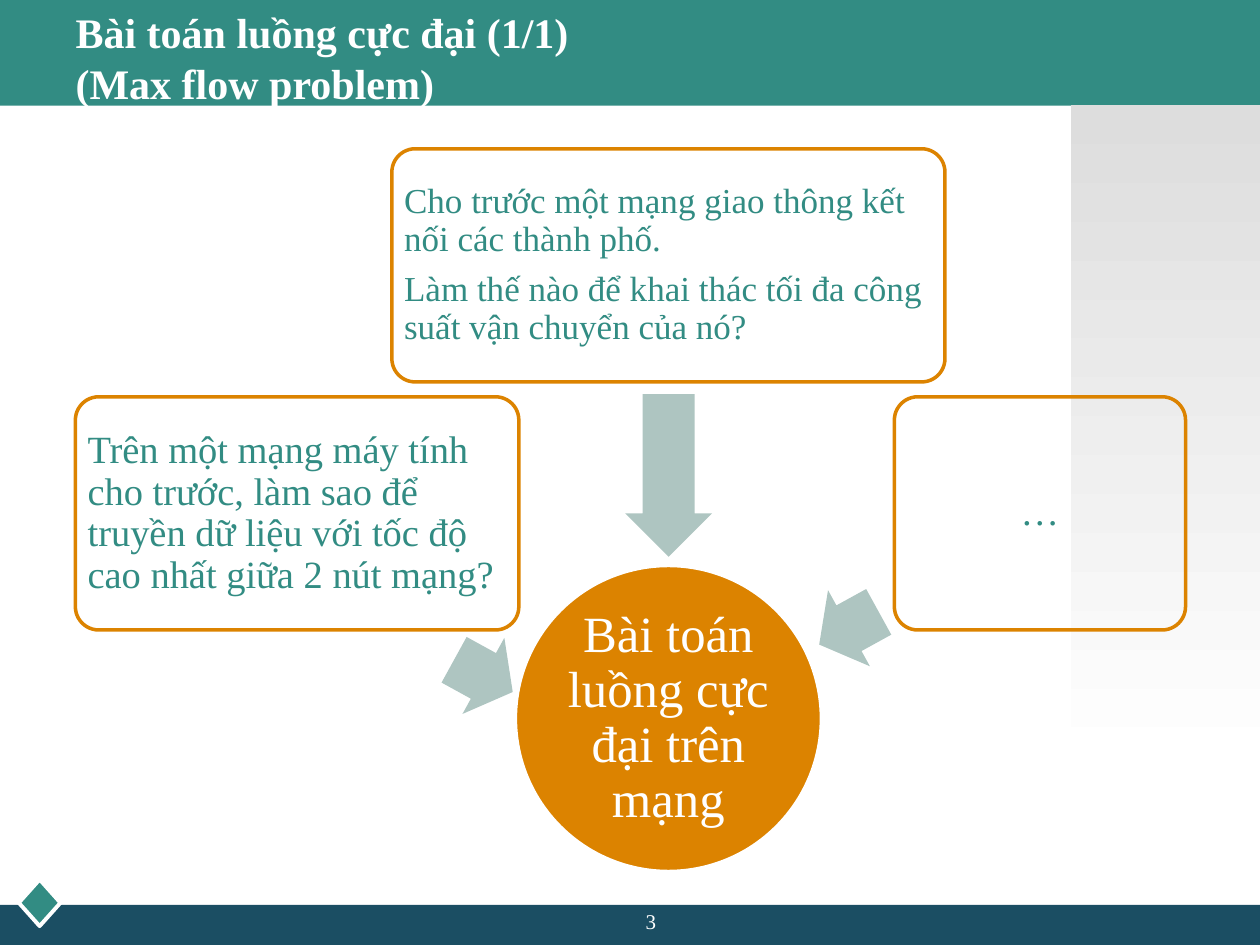
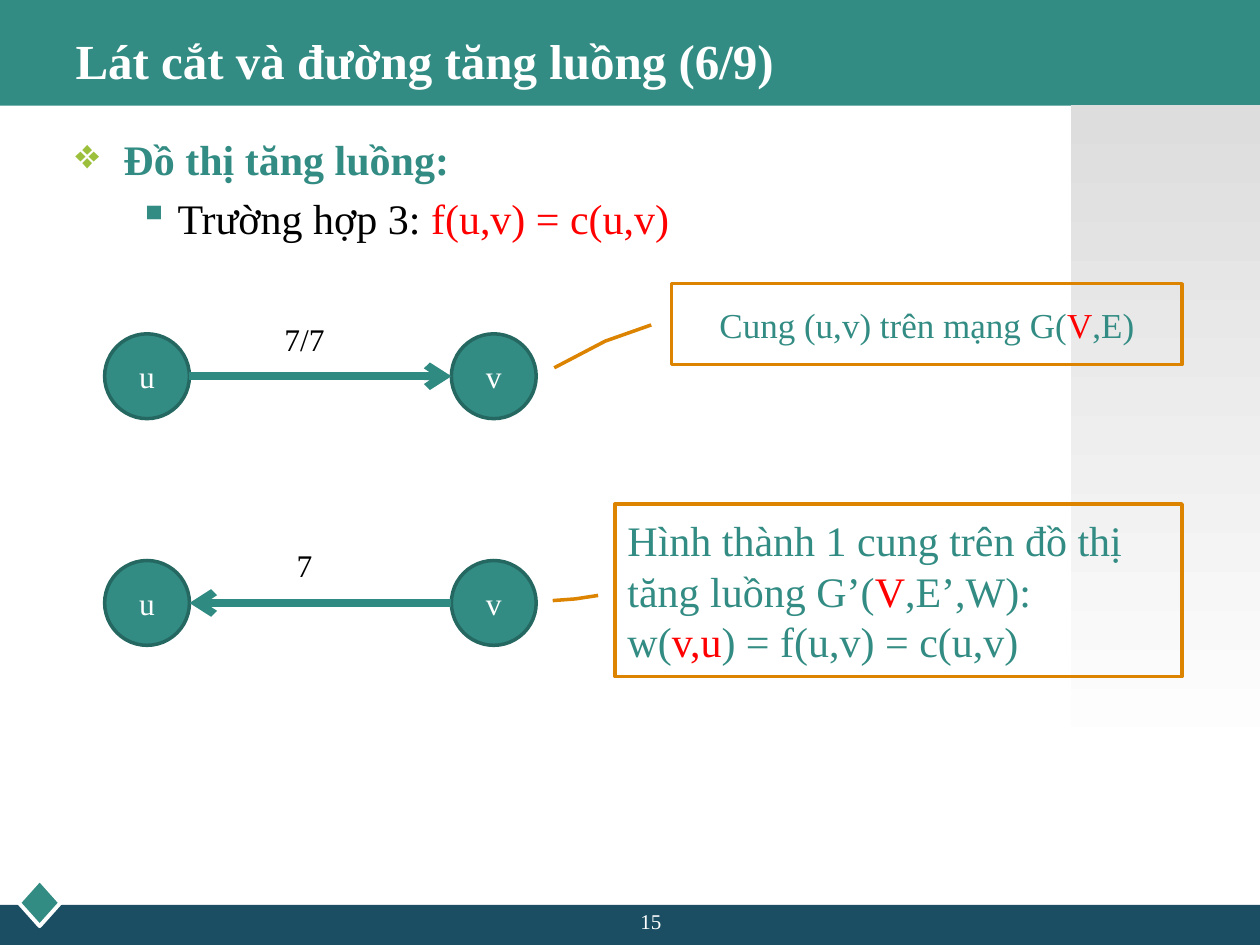
from dataclasses import dataclass

from lxml import etree
from pptx import Presentation
from pptx.dml.color import RGBColor
from pptx.enum import shapes, text
from pptx.oxml.ns import qn
from pptx.util import Cm, Pt


@dataclass(frozen=True)
class Theme:
    font: str = "Times New Roman"
    teal: str = "328C83"
    teal_edge: str = "256861"
    teal_line: str = "2F8B82"
    navy: str = "1B4E63"
    orange: str = "DC8300"
    sage: str = "AEC5C1"
    lime: str = "9DC03C"
    red: str = "FF0000"
    black: str = "000000"
    white: str = "FFFFFF"
    grey: str = "DDDDDD"
    number: int = 12
    label: int = 18
    small: int = 20
    card: int = 22
    body: int = 24
    title: int = 28
    hub: int = 29


T = Theme()
SHAPE = shapes.MSO_SHAPE
LEFT, CENTER = text.PP_ALIGN.LEFT, text.PP_ALIGN.CENTER
TOP, MIDDLE = text.MSO_ANCHOR.TOP, text.MSO_ANCHOR.MIDDLE

FLOW = {
    "title": ["Bài toán luồng cực đại (1/1)", "(Max flow problem)"],
    "title_box": (1.27, 0.2, 22.86, 1.91),
    "title_size": T.body,
    "number": "3",
    "hub": ("Bài toán luồng cực đại trên mạng", (10.39, 11.4, 6.17, 6.17)),
    "cards": [
        (["Trên một mạng máy tính cho trước, làm sao để truyền dữ liệu với tốc độ "
          "cao nhất giữa 2 nút mạng?"], (1.52, 8, 8.94, 4.7), T.card, LEFT),
        (["Cho trước một mạng giao thông kết nối các thành phố.",
          "Làm thế nào để khai thác tối đa công suất vận chuyển của nó?"],
         (7.9, 3, 11.15, 4.7), T.small, LEFT),
        (["…"], (18.03, 8, 5.87, 4.7), T.card, CENTER),
    ],
    "arrows": [
        ((9.07, 12.75, 1.35, 1.75), 208.8),
        ((11.84, 8.71, 3.28, 1.75), 270),
        ((16.43, 11.79, 1.37, 1.75), 331.2),
    ],
}

CUT = {
    "title": ["Lát cắt và đường tăng luồng (6/9)"],
    "title_box": (1.27, 0.43, 22.86, 1.57),
    "title_size": T.title,
    "number": "15",
    "points": [
        [("Đồ thị tăng luồng:", T.teal)],
        [("Trường hợp 3: ", T.black), ("f(u,v) = c(u,v)", T.red)],
    ],
    "bullets": [
        (0, 0.97, -0.97, "❖", T.lime, True),
        (1, 2.06, -0.79, "▪", T.teal, False),
    ],
    "edges": [("7/7", 6.73, "a:tailEnd"), ("7", 11.3, "a:headEnd")],
    "nodes": [("u", 2.11), ("v", 9.1)],
    "callouts": [
        ([[("Cung (u,v) trên mạng G(", T.teal), ("V", T.red), (",E)", T.teal)]],
         (13.54, 5.72, 10.29, 1.63), T.small, CENTER,
         (0.51, -0.04, 0.71, -0.13, 1.04, -0.23)),
        ([[("Hình thành 1 cung trên đồ thị tăng luồng G’(", T.teal), ("V", T.red),
           (",E’,W):", T.teal)],
          [("w(", T.teal), ("v,u", T.red), (") = f(u,v) = c(u,v)", T.teal)]],
         (12.4, 10.16, 11.43, 3.48), T.body, LEFT,
         (0.53, -0.03, 0.55, -0.07, 0.56, -0.11)),
    ],
}
NODE = 1.71


def rgb(color):
    return RGBColor.from_string(color)


def assign(obj, values):
    for name, value in values.items():
        setattr(obj, name, value)


def write(tf, paras, size, color=T.teal, bold=False, align=LEFT, anchor=TOP,
          inset=None, spacing=None, gap=0):
    assign(tf, {"word_wrap": True, "auto_size": text.MSO_AUTO_SIZE.NONE,
                "vertical_anchor": anchor})
    if inset is not None:
        for side in ("left", "top", "right", "bottom"):
            setattr(tf, f"margin_{side}", Cm(inset))
    for i, runs in enumerate(paras):
        p = tf.add_paragraph() if i else tf.paragraphs[0]
        assign(p, {"alignment": align, "line_spacing": spacing,
                   "space_before": Pt(gap if i else 0)})
        for content, tint in [(runs, color)] if isinstance(runs, str) else runs:
            r = p.add_run()
            r.text = content
            assign(r.font, {"name": T.font, "size": Pt(size), "bold": bold})
            r.font.color.rgb = rgb(tint)


def shape(s, kind, box, fill=None, line=None, width=2, rotation=0, adj=()):
    sp = s.shapes.add_shape(kind, *map(Cm, box))
    sp.shadow.inherit = False
    sp.rotation = rotation
    if fill:
        sp.fill.solid()
        sp.fill.fore_color.rgb = rgb(fill)
    else:
        sp.fill.background()
    if line:
        sp.line.color.rgb = rgb(line)
        sp.line.width = Pt(width)
    else:
        sp.line.fill.background()
    for i, value in enumerate(adj):
        sp.adjustments[i] = value
    return sp


def label(s, box, paras, size, **style):
    tb = s.shapes.add_textbox(*map(Cm, box))
    write(tb.text_frame, paras, size, **style)
    return tb


def arrow_line(s, x1, x2, y, end):
    c = s.shapes.add_connector(shapes.MSO_CONNECTOR.STRAIGHT, Cm(x1), Cm(y), Cm(x2), Cm(y))
    c.line.color.rgb = rgb(T.teal_line)
    c.line.width = Pt(4.5)
    etree.SubElement(c.line._get_or_add_ln(), qn(end), type="arrow")
    etree.SubElement(c.element.spPr, qn("a:effectLst"))


def add_bullet(p, level, indent, hanging, char, color):
    p.level = level
    pPr = p._p.get_or_add_pPr()
    pPr.set("marL", str(Cm(indent)))
    pPr.set("indent", str(Cm(hanging)))
    tint = etree.SubElement(pPr, qn("a:buClr"))
    etree.SubElement(tint, qn("a:srgbClr"), val=color)
    etree.SubElement(pPr, qn("a:buChar"), char=char)


def new_slide(prs, data):
    s = prs.slides.add_slide(prs.slide_layouts[5])
    shape(s, SHAPE.RECTANGLE, (0, 0, 25.4, 2.13), T.teal)
    shape(s, SHAPE.RECTANGLE, (0, 18.24, 25.4, 0.81), T.navy)
    shape(s, SHAPE.DIAMOND, (0.38, 17.73, 0.84, 0.94), T.teal, T.white, 2.25)
    panel = shape(s, SHAPE.RECTANGLE, (21.59, 2.12, 3.81, 13.33))
    panel.fill.gradient()
    panel.fill.gradient_angle = 270
    for stop, color in zip(panel.fill.gradient_stops, (T.grey, T.white)):
        stop.color.rgb = rgb(color)
    title = s.shapes.title
    assign(title, dict(zip(("left", "top", "width", "height"), map(Cm, data["title_box"]))))
    write(title.text_frame, data["title"], data["title_size"], color=T.white, bold=True,
          anchor=MIDDLE)
    title.element.getparent().append(title.element)
    label(s, (10.16, 18.19, 5.92, 0.66), [data["number"]], T.number, color=T.white,
          align=CENTER)
    return s


def flow_slide(prs):
    s = new_slide(prs, FLOW)
    content, box = FLOW["hub"]
    hub = shape(s, SHAPE.OVAL, box, T.orange, T.white)
    write(hub.text_frame, [content], T.hub, color=T.white, align=CENTER, anchor=MIDDLE,
          inset=0.05, spacing=0.9)
    for box, rotation in FLOW["arrows"]:
        shape(s, SHAPE.LEFT_ARROW, box, T.sage, rotation=rotation, adj=(0.6, 0.5))
    for paras, box, size, align in FLOW["cards"]:
        card = shape(s, SHAPE.ROUNDED_RECTANGLE, box, line=T.orange, adj=[0.1])
        write(card.text_frame, paras, size, align=align, anchor=MIDDLE, inset=0.11,
              spacing=0.9, gap=7)


def cut_slide(prs):
    s = new_slide(prs, CUT)
    body = label(s, (1.27, 2.57, 22.86, 14.58), CUT["points"], T.body, gap=5)
    for p, (*bullet, bold) in zip(body.text_frame.paragraphs, CUT["bullets"]):
        add_bullet(p, *bullet)
        for r in p.runs:
            r.font.bold = bold
    (_, u_left), (_, v_left) = CUT["nodes"]
    for weight, top, end in CUT["edges"]:
        for name, left in CUT["nodes"]:
            node = shape(s, SHAPE.OVAL, (left, top, NODE, NODE), T.teal, T.teal_edge)
            write(node.text_frame, [name], T.label, color=T.white, align=CENTER,
                  anchor=MIDDLE)
        arrow_line(s, u_left + NODE, v_left, top + NODE / 2, end)
        label(s, (4.45, top - 0.41, 3.38, 1.02), [weight], T.label, color=T.black,
              align=CENTER)
    for paras, box, size, align, adj in CUT["callouts"]:
        note = shape(s, SHAPE.LINE_CALLOUT_2, box, line=T.orange, adj=adj)
        write(note.text_frame, paras, size, align=align, anchor=MIDDLE)


def main():
    prs = Presentation()
    prs.slide_width, prs.slide_height = Cm(25.4), Cm(19.05)
    flow_slide(prs)
    cut_slide(prs)
    prs.save("out.pptx")


if __name__ == "__main__":
    main()
